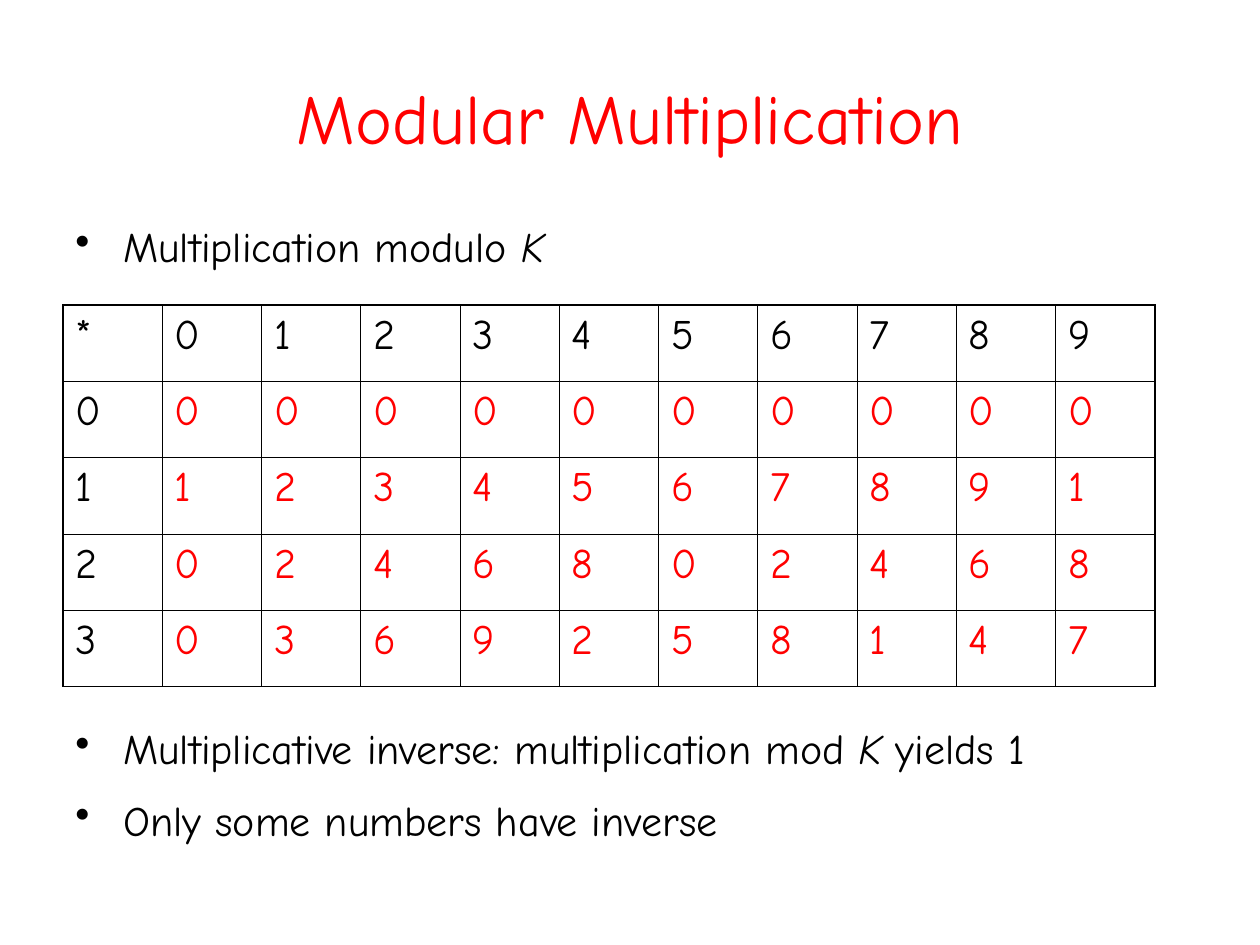
from lxml.etree import SubElement
from pptx import Presentation
from pptx.dml.color import RGBColor
from pptx.enum.text import MSO_ANCHOR, PP_ALIGN
from pptx.oxml.ns import qn
from pptx.util import Inches, Pt

INK = {"text": "000000", "mark": "FF0000", "line": "000000"}
FONT = "Comic Neue"
UNIT = Inches(0.25)  # the slide is a grid of 40 columns by 30 rows
THICK, THIN = Pt(1.08), Pt(0.45)

TITLE = "Modular Multiplication"
# Each bullet is a list of (text, italic) runs
TOP = [[("Multiplication modulo ", False), ("K", True)]]
LOW = [
    [("Multiplicative inverse: multiplication mod ", False),
     ("K", True), (" yields 1", False)],
    [("Only some numbers have inverse", False)],
]
# One digit or sign per cell, heads in the first row and column
ROWS = ["*0123456789", "00000000000", "11234567891",
        "20246802468", "30369258147"]


def grid(box):
    return [round(n * UNIT) for n in box]


def style(para, size, ink):
    para.space_before, para.space_after = Pt(12), Pt(3)
    font = para.font
    font.name, font.size = FONT, Pt(size)
    font.color.rgb = RGBColor.from_string(INK[ink])


def text_box(slide, box):
    frame = slide.shapes.add_textbox(*grid(box)).text_frame
    frame.word_wrap = True
    return frame


def add_title(slide, box):
    frame = text_box(slide, box)
    frame.vertical_anchor = MSO_ANCHOR.MIDDLE
    para = frame.paragraphs[0]
    para.text = TITLE
    para.alignment = PP_ALIGN.CENTER
    style(para, 40, "mark")


def add_dot(para):
    props = para._p.get_or_add_pPr()
    props.set("marL", str(Inches(0.38)))
    props.set("indent", str(-Inches(0.38)))
    tint = SubElement(props, qn("a:buClr"))
    SubElement(tint, qn("a:srgbClr"), val=INK["text"])
    SubElement(props, qn("a:buChar"), char="•")


def add_list(slide, box, items):
    frame = text_box(slide, box)
    for i, runs in enumerate(items):
        para = frame.add_paragraph() if i else frame.paragraphs[0]
        para.line_spacing = 0.9
        para.space_before, para.space_after = Pt(12), Pt(3)
        add_dot(para)
        style(para, 24, "text")
        for text, slant in runs:
            run = para.add_run()
            run.text = text
            if slant:
                run.font.italic = True


def add_edges(cell, edges):
    props = cell._tc.get_or_add_tcPr()
    for i, (side, outer) in enumerate(edges.items()):
        line = props.makeelement(
            qn(f"a:ln{side}"), {"w": str(THICK if outer else THIN)})
        fill = SubElement(line, qn("a:solidFill"))
        SubElement(fill, qn("a:srgbClr"), val=INK["line"])
        props.insert(i, line)


def add_grid(slide, box):
    high, wide = len(ROWS), len(ROWS[0])
    table = slide.shapes.add_table(high, wide, *grid(box)).table
    table.first_row = table.horz_banding = False
    for r, row in enumerate(ROWS):
        for c, text in enumerate(row):
            cell = table.cell(r, c)
            cell.fill.background()
            para = cell.text_frame.paragraphs[0]
            para.text = text
            style(para, 24, "mark" if r and c else "text")
            add_edges(cell, {"L": c == 0, "R": c == wide - 1,
                             "T": r == 0, "B": r == high - 1})


def main():
    deck = Presentation()
    deck.slide_width, deck.slide_height = 40 * UNIT, 30 * UNIT
    slide = deck.slides.add_slide(deck.slide_layouts[6])
    add_title(slide, (2, 1.2, 36, 5))
    add_list(slide, (2, 7, 35, 2.5), TOP)
    add_grid(slide, (2, 9.68, 34.68, 12.12))
    add_list(slide, (2, 22.92, 35, 6), LOW)
    deck.save("out.pptx")


if __name__ == "__main__":
    main()
